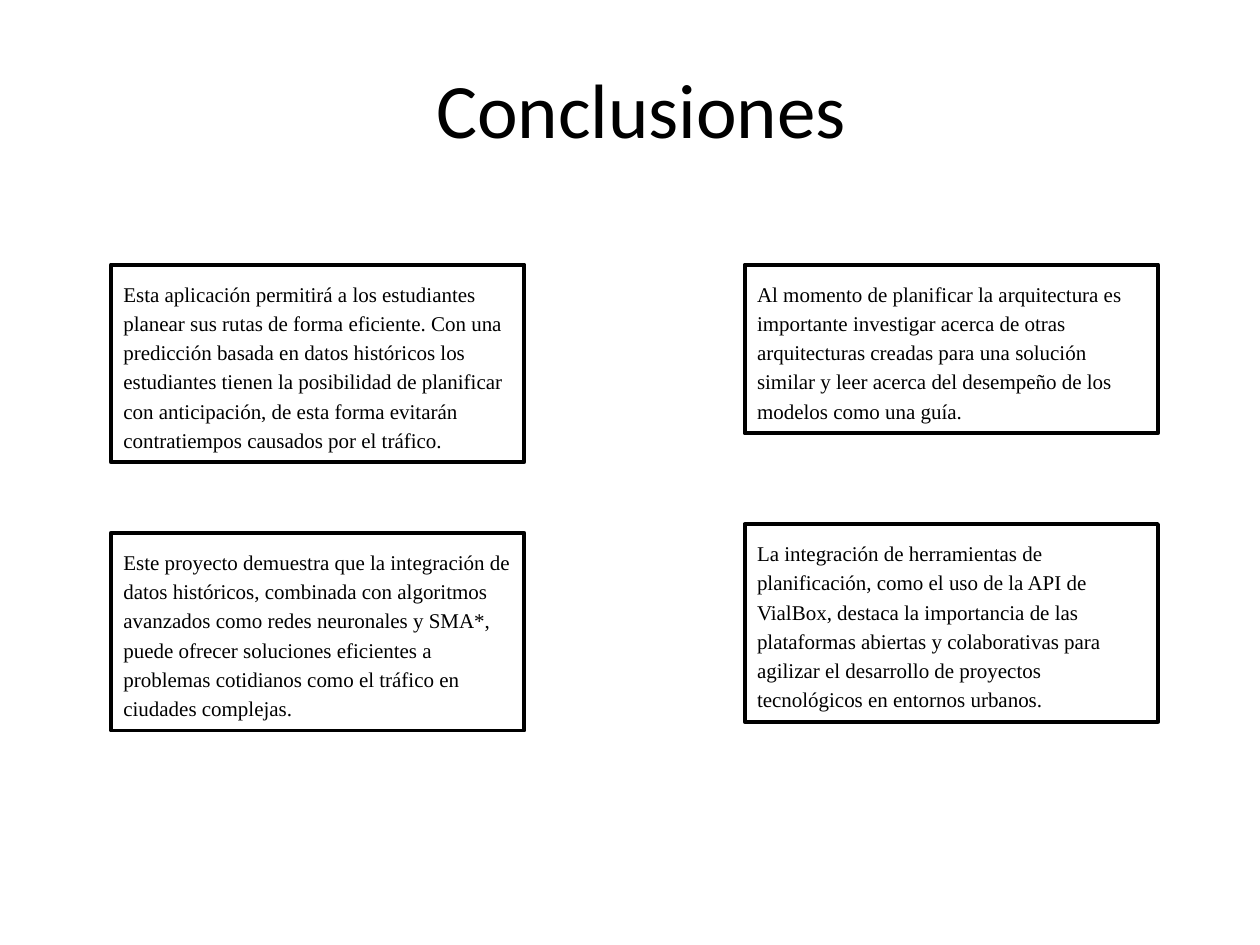
from pptx import Presentation
from pptx.dml.color import RGBColor
from pptx.enum import shapes, text
from pptx.util import Pt

BLACK = "000000"
WHITE = "FFFFFF"
LEFT_X, RIGHT_X = 63.4, 425.5
BOX_WIDTH = 236.2

# Each conclusion: left, top, height, wording
CONCLUSIONS = [
    (LEFT_X, 151.2, 113,
     "Esta aplicación permitirá a los estudiantes planear sus rutas de forma "
     "eficiente. Con una predicción basada en datos históricos los estudiantes "
     "tienen la posibilidad de planificar con anticipación, de esta forma "
     "evitarán contratiempos causados por el tráfico."),
    (RIGHT_X, 151.2, 96.5,
     "Al momento de planificar la arquitectura es importante investigar acerca "
     "de otras arquitecturas creadas para una solución similar y leer acerca "
     "del desempeño de los modelos como una guía."),
    (LEFT_X, 304.5, 113,
     "Este proyecto demuestra que la integración de datos históricos, combinada "
     "con algoritmos avanzados como redes neuronales y SMA*, puede ofrecer "
     "soluciones eficientes a problemas cotidianos como el tráfico en ciudades "
     "complejas."),
    (RIGHT_X, 299.5, 113,
     "La integración de herramientas de planificación, como el uso de la API de "
     "VialBox, destaca la importancia de las plataformas abiertas y "
     "colaborativas para agilizar el desarrollo de proyectos tecnológicos en "
     "entornos urbanos."),
]


def color(hex_value):
    return RGBColor.from_string(hex_value)


def write(sp, wording, font, size, align, anchor, inset_y):
    """Fill a shape with one paragraph and return it."""
    tf = sp.text_frame
    tf.word_wrap = True
    tf.vertical_anchor = anchor
    tf.margin_left = tf.margin_right = Pt(7.2)
    tf.margin_top = tf.margin_bottom = Pt(inset_y)
    p = tf.paragraphs[0]
    p.text = wording
    p.alignment = align
    p.font.name = font
    p.font.size = Pt(size)
    p.font.color.rgb = color(BLACK)
    return p


def add_title(s, wording):
    sp = s.shapes.add_textbox(Pt(42.5), Pt(16.5), Pt(648), Pt(90))
    write(sp, wording, "Calibri", 44, text.PP_ALIGN.CENTER,
          text.MSO_ANCHOR.MIDDLE, 3.6)


def add_conclusion(s, left, top, height, wording):
    sp = s.shapes.add_shape(shapes.MSO_SHAPE.RECTANGLE, Pt(left), Pt(top),
                            Pt(BOX_WIDTH), Pt(height))
    sp.shadow.inherit = False
    sp.fill.background()
    sp.line.color.rgb = color(BLACK)
    sp.line.width = Pt(2.25)
    p = write(sp, wording, "Times New Roman", 12, text.PP_ALIGN.LEFT,
              text.MSO_ANCHOR.TOP, 7.2)
    p.line_spacing = 1.16
    p.space_after = Pt(8)
    sp.text_frame.auto_size = text.MSO_AUTO_SIZE.SHAPE_TO_FIT_TEXT


def main():
    prs = Presentation()
    prs.slide_width, prs.slide_height = Pt(720), Pt(540)
    s = prs.slides.add_slide(prs.slide_layouts[6])
    s.background.fill.solid()
    s.background.fill.fore_color.rgb = color(WHITE)

    # Heading
    add_title(s, "Conclusiones")

    # Framed conclusions
    for conclusion in CONCLUSIONS:
        add_conclusion(s, *conclusion)

    prs.save("out.pptx")


if __name__ == "__main__":
    main()
